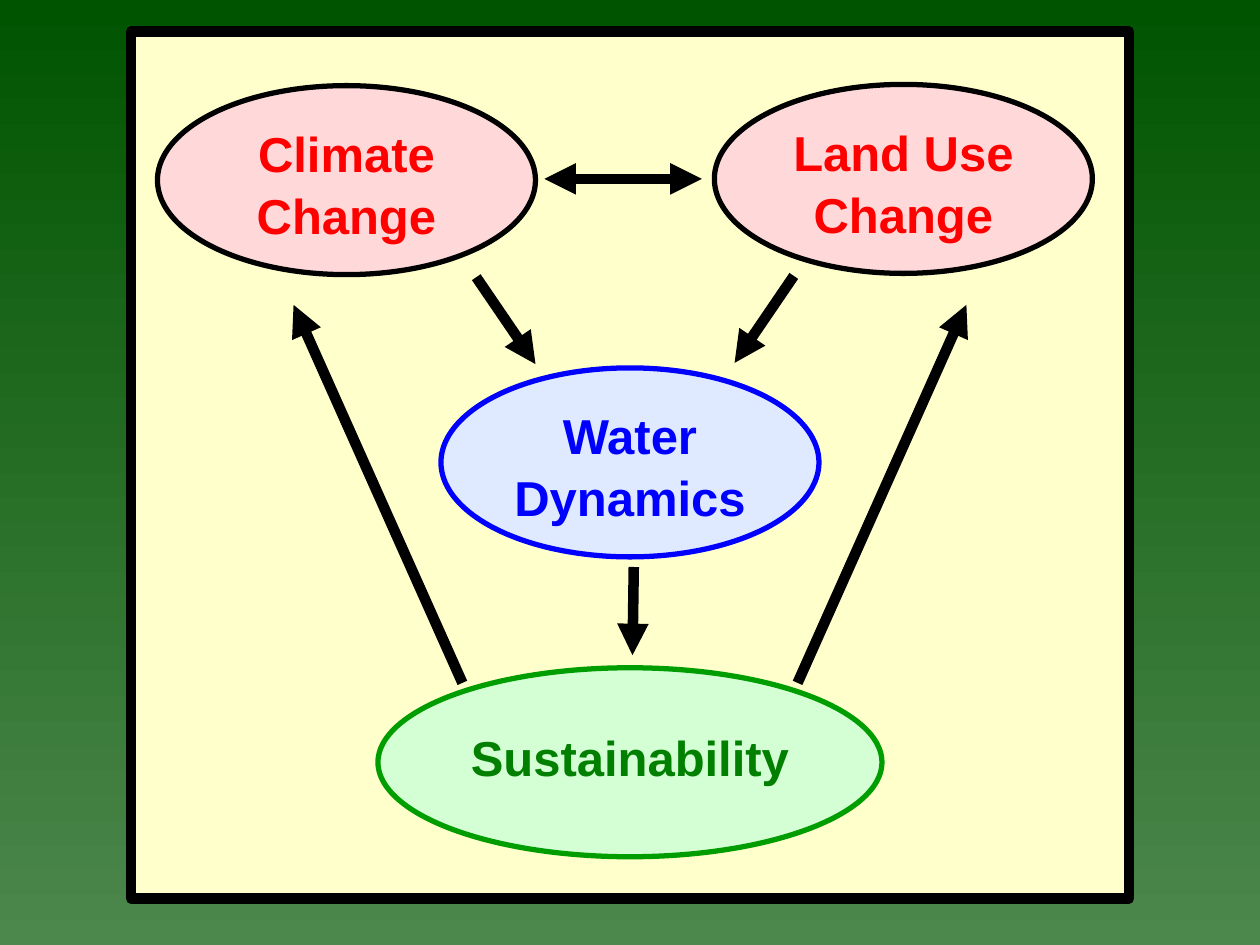
import pptx
import pptx.dml.color
import pptx.enum.shapes
import pptx.enum.text
import pptx.oxml
import pptx.oxml.ns
import pptx.util

SCALE = 9144  # EMU per px, 100 px to the inch

COLORS = {
    "bg_top": "005400", "bg_bottom": "4C874C",
    "panel": "FFFFCC", "black": "000000",
    "pink": "FFD9D9", "red": "FF0000",
    "pale_blue": "DFE9FF", "blue": "0000FF",
    "pale_green": "D4FFD4", "green_line": "009D00", "green_text": "007F00",
}


def px(n):
    return pptx.util.Emu(n * SCALE)


def rgb(name):
    return pptx.dml.color.RGBColor.from_string(COLORS[name])


def set_background(slide):
    fill = slide.background.fill
    fill.gradient()
    fill.gradient_angle = 270
    for stop, name in zip(fill.gradient_stops, ("bg_top", "bg_bottom")):
        stop.color.rgb = rgb(name)


def add_box(slide, kind, box, fill, line, width):
    sp = slide.shapes.add_shape(kind, *map(px, box))
    sp.shadow.inherit = False
    sp.fill.solid()
    sp.fill.fore_color.rgb = rgb(fill)
    sp.line.color.rgb = rgb(line)
    sp.line.width = pptx.util.Pt(width)
    return sp


def add_ellipse(slide, box, lines, fill, line, color, top=6):
    oval = pptx.enum.shapes.MSO_SHAPE.OVAL
    tf = add_box(slide, oval, box, fill, line, 3).text_frame
    tf.word_wrap = True
    tf.vertical_anchor = pptx.enum.text.MSO_ANCHOR.TOP
    tf.margin_top = px(top)
    tf.text = "\n".join(lines)
    for p in tf.paragraphs:
        p.alignment = pptx.enum.text.PP_ALIGN.CENTER
        p.line_spacing = 1.05
        p.font.name = "Arial"
        p.font.size = pptx.util.Pt(28)
        p.font.bold = True
        p.font.color.rgb = rgb(color)


def add_arrow(slide, points, ends=("tailEnd",)):
    straight = pptx.enum.shapes.MSO_CONNECTOR.STRAIGHT
    cxn = slide.shapes.add_connector(straight, *map(px, points))
    cxn.line.color.rgb = rgb("black")
    cxn.line.width = pptx.util.Pt(6)
    ln = cxn.line._get_or_add_ln()
    ns = pptx.oxml.ns.nsdecls("a")
    for end in ends:
        ln.append(pptx.oxml.parse_xml(f'<a:{end} {ns} type="triangle"/>'))
    cxn._element.spPr.append(pptx.oxml.parse_xml(f"<a:effectLst {ns}/>"))


def main():
    prs = pptx.Presentation()
    prs.slide_width, prs.slide_height = px(1000), px(750)
    slide = prs.slides.add_slide(prs.slide_layouts[6])
    set_background(slide)

    # Panel behind the diagram
    add_box(slide, pptx.enum.shapes.MSO_SHAPE.RECTANGLE,
            (104, 25, 792, 688), "panel", "black", 6)

    # Topics
    add_ellipse(slide, (567, 67, 300, 150), ["Land Use", "Change"],
                "pink", "black", "red")
    add_ellipse(slide, (125, 68, 300, 150), ["Climate", "Change"],
                "pink", "black", "red")
    add_ellipse(slide, (350, 292, 300, 150), ["Water", "Dynamics"],
                "pale_blue", "blue", "blue")
    add_ellipse(slide, (300, 530, 400, 150), ["Sustainability"],
                "pale_green", "green_line", "green_text", top=23)

    # Influences between topics
    add_arrow(slide, (432, 142, 557, 142), ("headEnd", "tailEnd"))
    for points in (
        (367, 542, 233, 242),  # sustainability to climate
        (633, 542, 767, 242),  # sustainability to land use
        (378, 220, 425, 289),  # climate to water
        (503, 450, 502, 520),  # water to sustainability
        (630, 219, 583, 288),  # land use to water
    ):
        add_arrow(slide, points)

    prs.save("out.pptx")


if __name__ == "__main__":
    main()
